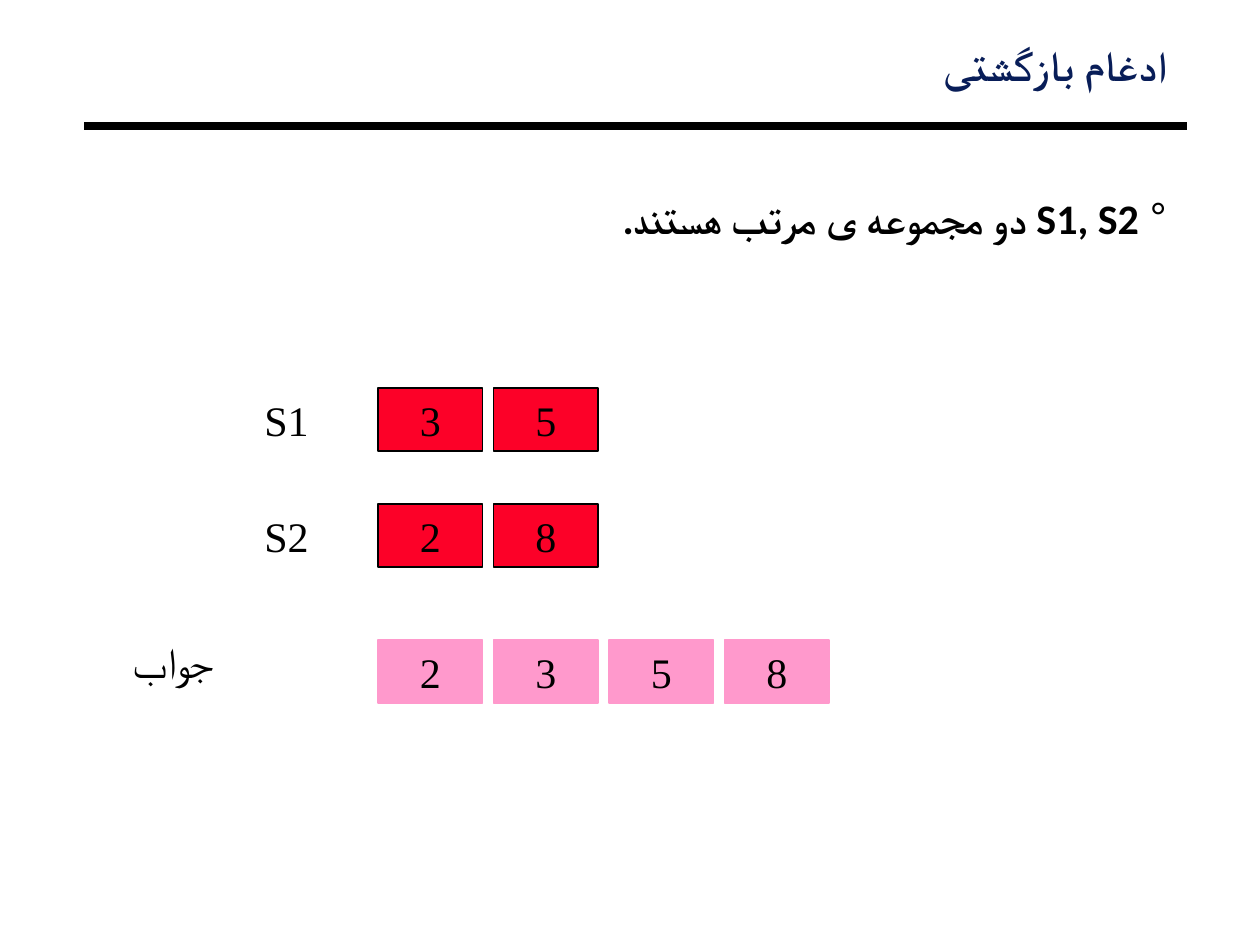
from lxml import etree
from pptx import Presentation
from pptx.dml.color import RGBColor
from pptx.enum.shapes import MSO_CONNECTOR, MSO_SHAPE
from pptx.enum.text import MSO_ANCHOR, MSO_AUTO_SIZE, PP_ALIGN
from pptx.oxml.ns import qn
from pptx.util import Inches, Pt

RECTANGLE = MSO_SHAPE.RECTANGLE
STRAIGHT = MSO_CONNECTOR.STRAIGHT
TOP, MIDDLE = MSO_ANCHOR.TOP, MSO_ANCHOR.MIDDLE
LEFT, CENTER, RIGHT = PP_ALIGN.LEFT, PP_ALIGN.CENTER, PP_ALIGN.RIGHT

TITLE = "ادغام بازگشتی"
STATEMENT = "S1, S2 دو مجموعه ی مرتب هستند."
BLACK, NAVY, RED, PINK = "000000", "081D58", "FC0128", "FF99CC"
SERIF = "Times New Roman"

# label, label font, label place (left, top, width), row top, values, fill, outline
ROWS = [
    ("S1", SERIF, (2, 3.08, 0.55), 3.08, [3, 5], RED, BLACK),
    ("S2", SERIF, (2, 4, 0.55), 4, [2, 8], RED, BLACK),
    ("جواب", "Arial", (0.96, 5, 0.98), 5.08, [2, 3, 5, 8], PINK, PINK),
]
CELL_LEFT, CELL_STEP = 3, 0.917
CELL_WIDTH, CELL_HEIGHT = 0.83, 0.5


def color(value):
    return RGBColor.from_string(value)


def place(shape, left, top, width, height):
    shape.left, shape.top = Inches(left), Inches(top)
    shape.width, shape.height = Inches(width), Inches(height)


def write(shape, text, font_name, align, anchor, ink=BLACK, bold=False, wrap=False):
    """Fill a shape with one paragraph, using the font for Persian letters too."""
    frame = shape.text_frame
    frame.text = text
    frame.word_wrap = wrap
    frame.auto_size = MSO_AUTO_SIZE.NONE
    frame.vertical_anchor = anchor
    paragraph = frame.paragraphs[0]
    paragraph.alignment = align
    font = paragraph.font
    font.name, font.size, font.bold = font_name, Pt(24), bold
    font.color.rgb = color(ink)
    defaults = paragraph._p.pPr.find(qn("a:defRPr"))
    etree.SubElement(defaults, qn("a:cs"), typeface=font_name)
    return paragraph


def set_right_to_left(shape, paragraph, line_spacing):
    frame = shape.text_frame
    frame.margin_left = frame.margin_right = Inches(0.07)
    frame.margin_top = frame.margin_bottom = Inches(0.03)
    paragraph._p.pPr.set("rtl", "1")
    paragraph.line_spacing = line_spacing
    paragraph.space_before = Pt(0)


def add_bullet(paragraph, character, ink, indent):
    properties = paragraph._p.get_or_add_pPr()
    properties.set("marL", str(Inches(indent)))
    properties.set("indent", str(-Inches(indent)))
    bullet_color = etree.Element(qn("a:buClr"))
    etree.SubElement(bullet_color, qn("a:srgbClr"), val=ink)
    bullet = etree.Element(qn("a:buChar"), char=character)
    defaults = properties.find(qn("a:defRPr"))
    defaults.addprevious(bullet_color)
    defaults.addprevious(bullet)


deck = Presentation()
deck.slide_width, deck.slide_height = Inches(10), Inches(7.5)
page = deck.slides.add_slide(deck.slide_layouts[1])

title = page.shapes.title
place(title, 0.67, 0.34, 8.67, 0.42)
heading = write(title, TITLE, "Roboto", RIGHT, TOP, NAVY, bold=True, wrap=True)
set_right_to_left(title, heading, 0.87)

body = page.placeholders[1]
place(body, 0.75, 1.42, 8.58, 0.54)
statement = write(body, STATEMENT, "Calibri", RIGHT, TOP, bold=True, wrap=True)
add_bullet(statement, "°", BLACK, 0.22)
set_right_to_left(body, statement, 1.2)

rule = page.shapes.add_connector(STRAIGHT, Inches(0.67), Inches(1), Inches(9.42), Inches(1))
rule.line.color.rgb = color(BLACK)
rule.line.width = Pt(4.5)
etree.SubElement(rule._element.spPr, qn("a:effectLst"))

for label, label_font, (left, top, width), row_top, values, fill, outline in ROWS:
    box = page.shapes.add_textbox(Inches(left), Inches(top), Inches(width), Inches(CELL_HEIGHT))
    write(box, label, label_font, LEFT, TOP)
    for column, value in enumerate(values):
        cell = page.shapes.add_shape(
            RECTANGLE, Inches(CELL_LEFT + column * CELL_STEP), Inches(row_top),
            Inches(CELL_WIDTH), Inches(CELL_HEIGHT))
        cell.shadow.inherit = False
        cell.fill.solid()
        cell.fill.fore_color.rgb = color(fill)
        cell.line.color.rgb = color(outline)
        cell.line.width = Pt(0.75)
        write(cell, str(value), SERIF, CENTER, MIDDLE)

deck.save("out.pptx")
